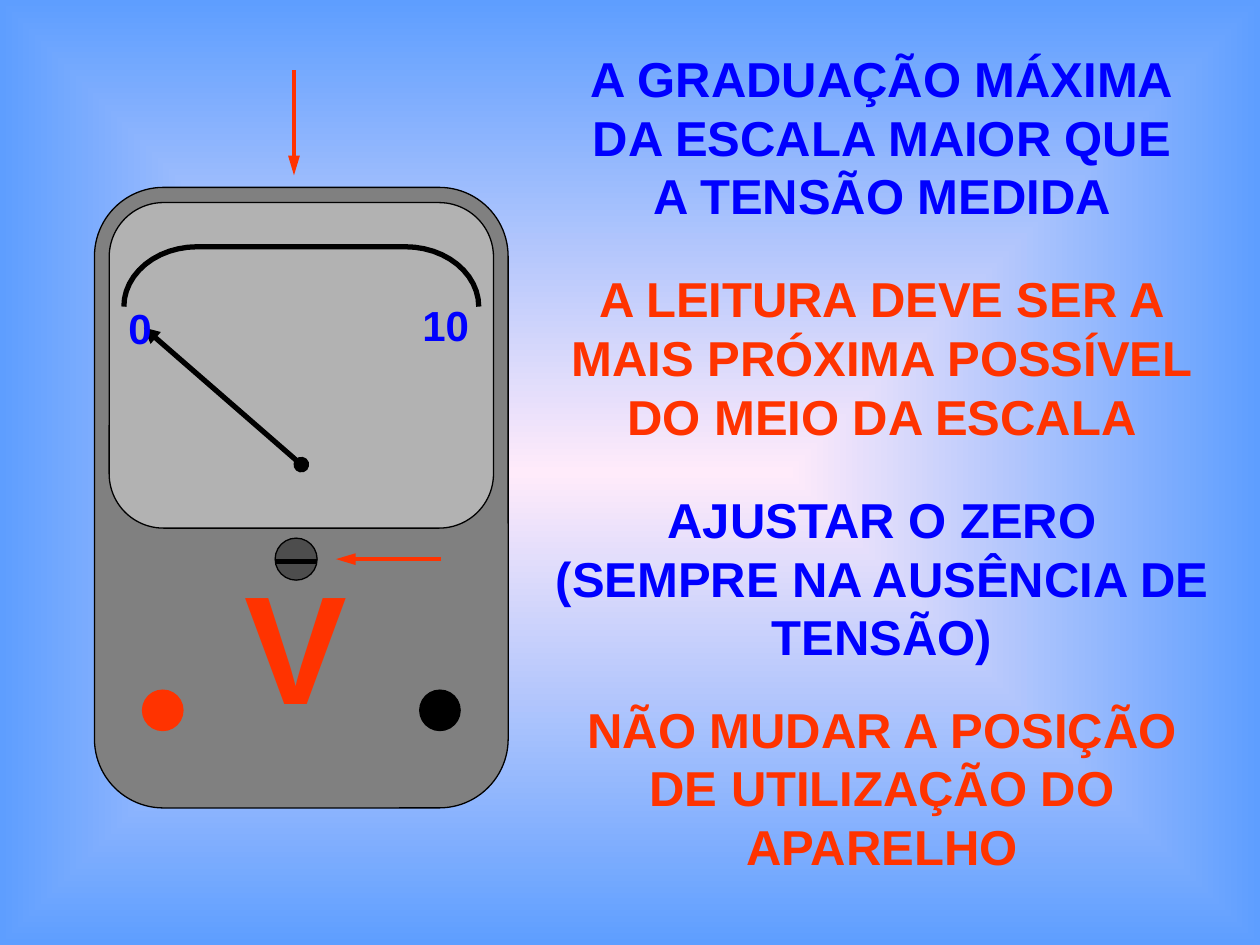
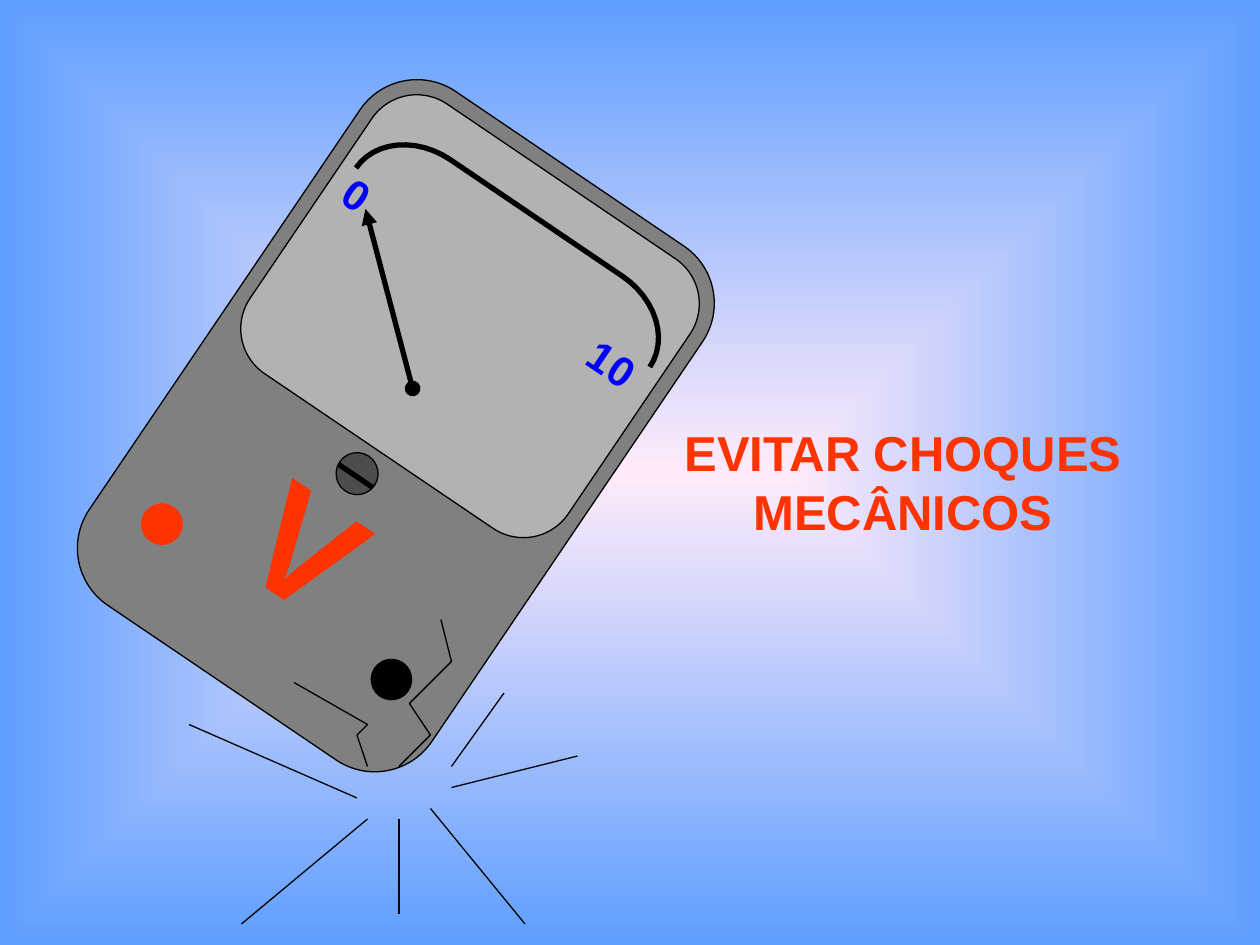
from math import cos, sin, pi, radians

from pptx import Presentation
from pptx.dml.color import RGBColor
from pptx.enum.shapes import MSO_CONNECTOR as Link, MSO_SHAPE as Form
from pptx.enum.text import MSO_AUTO_SIZE as Fit, PP_ALIGN as Align
from pptx.oxml.ns import qn
from pptx.oxml.xmlchemy import OxmlElement as Node
from pptx.util import Inches, Pt

COLS, ROWS = 120, 90
CELL = Inches(10) / COLS

RED = RGBColor(0xFF, 0x33, 0x00)
BLUE = RGBColor(0x00, 0x00, 0xFF)
BLACK = RGBColor(0x00, 0x00, 0x00)
CASE = RGBColor(0x80, 0x80, 0x80)
FACE = RGBColor(0xB2, 0xB2, 0xB2)
KNOB = RGBColor(0x4D, 0x4D, 0x4D)
GLOW = RGBColor(0xFF, 0xEB, 0xFA)
SKY = RGBColor(0x5E, 0x9E, 0xFF)


def emu(cells):
    return round(cells * CELL)


class Deck:
    """Draws on the current slide; every length is in grid cells."""

    font = "Arial"
    thin, mid, bold = 0.75, 2.25, 3

    def __init__(self):
        self.prs = Presentation()
        self.prs.slide_width, self.prs.slide_height = emu(COLS), emu(ROWS)

    def page(self):
        self.slide = self.prs.slides.add_slide(self.prs.slide_layouts[6])
        self.shapes = self.slide.shapes
        fill = self.slide.background.fill
        fill.gradient()
        for stop, color in zip(fill.gradient_stops, (GLOW, SKY)):
            stop.color.rgb = color
        grad = self.slide.element.find(".//" + qn("a:gradFill"))
        grad.remove(grad.find(qn("a:lin")))
        rect = Node("a:path")
        rect.set("path", "rect")
        focus = Node("a:fillToRect")
        for side in "ltrb":
            focus.set(side, "50000")
        rect.append(focus)
        grad.append(rect)

    def ink(self, shape, color, width):
        shape.line.color.rgb = color
        shape.line.width = Pt(width)

    def shape(self, form, mid, size, fill, edge=BLACK, turn=0):
        (x, y), (w, h) = mid, size
        item = self.shapes.add_shape(
            form, emu(x - w / 2), emu(y - h / 2), emu(w), emu(h))
        item.shadow.inherit = False
        item.fill.solid()
        item.fill.fore_color.rgb = fill
        item.rotation = turn
        self.ink(item, edge, self.thin)

    def line(self, start, end, color=BLACK, width=thin, head=None, tail=None, size="med"):
        item = self.shapes.add_connector(
            Link.STRAIGHT, *(emu(v) for v in (*start, *end)))
        self.ink(item, color, width)
        pen = item.element.find(".//" + qn("a:ln"))
        for tag, kind in (("a:headEnd", head), ("a:tailEnd", tail)):
            if kind:
                tip = Node(tag)
                tip.set("type", kind)
                tip.set("len", size)
                pen.append(tip)
        pen.getparent().append(Node("a:effectLst"))

    def trace(self, dots, width=thin):
        """Draw an open outline through the dots."""
        first, *rest = [(emu(x), emu(y)) for x, y in dots]
        pen = self.shapes.build_freeform(*first)
        pen.add_line_segments(rest, close=False)
        item = pen.convert_to_shape()
        item.shadow.inherit = False
        item.fill.background()
        self.ink(item, BLACK, width)

    def text(self, words, box, size, color, align=Align.LEFT, wrap=False, turn=0):
        item = self.shapes.add_textbox(*(emu(v) for v in box))
        item.rotation = turn
        frame = item.text_frame
        frame.word_wrap = wrap
        frame.auto_size = Fit.SHAPE_TO_FIT_TEXT
        frame.text = words
        for par in frame.paragraphs:
            par.alignment = align
            for run in par.runs:
                font = run.font
                font.name, font.size, font.bold = self.font, Pt(size), True
                font.color.rgb = color

    def note(self, words, left, top, high, color):
        self.text(words, (left, top, 66, high), 28, color, Align.CENTER, True)

    def meter(self, hub, needle, turn=0):
        """Draw the voltmeter round its hub, turned by some degrees."""
        c, s = cos(radians(turn)), sin(radians(turn))

        def at(x, y):
            return hub[0] + x * c - y * s, hub[1] + x * s + y * c

        def label(words, x, y, w, h, size, color):
            px, py = at(x, y)
            self.text(words, (px - w / 2, py - h / 2, w, h), size, color, turn=turn)

        for y, size, fill in ((0, (39.4, 59.1), CASE), (-12.6, (36.6, 31), FACE)):
            self.shape(Form.ROUNDED_RECTANGLE, at(0, y), size, fill, turn=turn)

        # Left quarter arc, then its mirror image
        steps = [i * pi / 24 for i in range(13)]
        left = [(-9.9 - 7 * cos(a), -18.2 - 5.7 * sin(a)) for a in steps]
        right = [(-x, y) for x, y in reversed(left)]
        self.trace([at(*dot) for dot in left + right], self.bold)

        self.line(*needle, width=self.bold, head="oval", tail="triangle")
        label("V", -0.55, 13.85, 12.1, 18.8, 88, RED)
        label("0", -15.35, -16.2, 4.6, 6, 24, BLUE)
        label("10", 13.85, -16.5, 7, 6, 24, BLUE)
        for x, y, wide, fill, edge in (
                (-13.2, 20.25, 3.85, RED, RED),
                (13.2, 20.25, 3.85, BLACK, BLACK),
                (-0.5, 5.85, 4, KNOB, BLACK)):
            self.shape(Form.OVAL, at(x, y), (wide, wide), fill, edge, turn)
        self.line(at(-2.5, 6.1), at(1.5, 6.1), width=self.bold)


def rules(deck):
    deck.page()
    deck.meter((28.7, 47.4), ((28.7, 44.25), (13.7, 31.2)))
    for start, end in (((28, 6.7), (28, 16.7)), ((42, 53.25), (32, 53.25))):
        deck.line(start, end, RED, deck.mid, tail="triangle", size="lg")
    notes = (
        (4, BLUE, "A GRADUAÇÃO MÁXIMA\nDA ESCALA MAIOR QUE\nA TENSÃO MEDIDA"),
        (25, RED, "A LEITURA DEVE SER A\nMAIS PRÓXIMA POSSÍVEL\nDO MEIO DA ESCALA"),
        (46, BLUE, "AJUSTAR O ZERO\n(SEMPRE NA AUSÊNCIA DE TENSÃO)"),
        (66, RED, "NÃO MUDAR A POSIÇÃO DE UTILIZAÇÃO DO APARELHO"),
    )
    for top, color, words in notes:
        deck.note(words, 51, top, 18, color)


def shock(deck):
    deck.page()
    deck.meter((37.7, 40.55), ((39.3, 37), (34.8, 19.9)), 34.1)
    rays = (
        ((43, 75), (55, 72)), ((34, 76), (18, 69)), ((41, 77), (50, 88)),
        ((35, 78), (23, 88)), ((43, 73), (48, 66)), ((38, 78), (38, 87)),
    )
    for start, end in rays:
        deck.line(start, end)
    cracks = (
        ((35, 73), (34, 70), (35, 69), (28, 65)),
        ((38, 73), (41, 70), (39, 67), (43, 63), (42, 59)),
    )
    for dots in cracks:
        deck.trace(dots)
    deck.note("EVITAR CHOQUES MECÂNICOS", 53, 39.65, 12.5, RED)


def main():
    deck = Deck()
    rules(deck)
    shock(deck)
    deck.prs.save("out.pptx")


if __name__ == "__main__":
    main()
